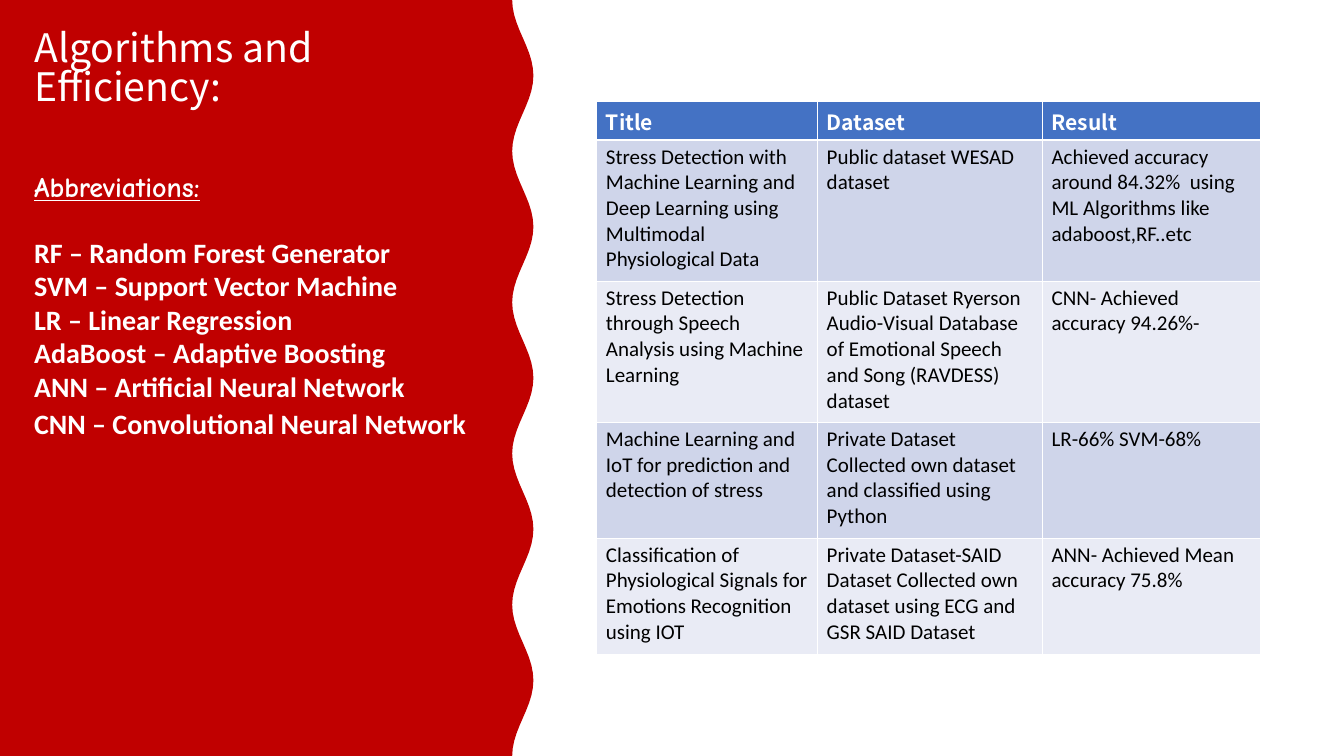
from math import cos, pi

from pptx import Presentation
from pptx.dml.color import RGBColor
from pptx.enum.text import MSO_ANCHOR, MSO_AUTO_SIZE, PP_ALIGN
from pptx.util import Inches, Pt

RED = RGBColor(0xC0, 0x00, 0x00)
WHITE = RGBColor(0xFF, 0xFF, 0xFF)
BLACK = RGBColor(0x00, 0x00, 0x00)
HEADER_BLUE = RGBColor(0x44, 0x72, 0xC4)
BANDS = [RGBColor(0xCF, 0xD5, 0xEA), RGBColor(0xE9, 0xEB, 0xF5)]
HEADING_FONT = "Noto Sans CJK SC"
BODY_FONT = "Calibri"

HEADING = "Algorithms and Efficiency:"
ABBREVIATIONS = [
    "RF – Random Forest Generator",
    "SVM – Support Vector Machine",
    "LR – Linear Regression",
    "AdaBoost – Adaptive Boosting",
    "ANN – Artificial Neural Network",
    "CNN – Convolutional Neural Network",
]
STUDIES = [
    ("Title", "Dataset", "Result"),
    ("Stress Detection with Machine Learning and Deep Learning using Multimodal Physiological Data",
     "Public dataset WESAD dataset",
     "Achieved accuracy around 84.32%  using ML Algorithms like adaboost,RF..etc"),
    ("Stress Detection through Speech Analysis using Machine Learning",
     "Public Dataset Ryerson Audio-Visual Database of Emotional Speech and Song (RAVDESS) dataset",
     "CNN- Achieved accuracy 94.26%-"),
    ("Machine Learning and IoT for prediction and detection of stress",
     "Private Dataset Collected own dataset and classified using Python",
     "LR-66% SVM-68%"),
    ("Classification of Physiological Signals for Emotions Recognition using IOT",
     "Private Dataset-SAID Dataset Collected own dataset using ECG and GSR SAID Dataset",
     "ANN- Achieved Mean accuracy 75.8%"),
]
COLUMN_WIDTHS = [2.19, 2.23, 2.16]
ROW_HEIGHTS = [0.38, 1.4, 1.4, 1.15, 1.15]

SLIDE_HEIGHT = 7.5
WAVE_COUNT = 5
WAVE_STEPS = 100
WAVE_LEFT, WAVE_RIGHT = 5.08, 5.29


def style(paragraph, font_name, size, color, bold=False):
    font = paragraph.font
    font.name, font.size, font.bold = font_name, Pt(size), bold
    font.color.rgb = color


def wave_point(step):
    swing = (1 - cos(2 * pi * WAVE_COUNT * step / WAVE_STEPS)) / 2
    x = WAVE_LEFT + (WAVE_RIGHT - WAVE_LEFT) * swing
    return Inches(x), Inches(SLIDE_HEIGHT * step / WAVE_STEPS)


def add_panel(slide):
    outline = slide.shapes.build_freeform(0, 0)
    edge = [wave_point(step) for step in range(WAVE_STEPS + 1)]
    outline.add_line_segments(edge + [(0, Inches(SLIDE_HEIGHT))], close=True)
    panel = outline.convert_to_shape()
    panel.shadow.inherit = False
    panel.fill.solid()
    panel.fill.fore_color.rgb = RED
    panel.line.fill.background()
    slide.shapes.title._element.addprevious(panel._element)


def add_heading(slide):
    heading = slide.shapes.title
    heading.left, heading.top = Inches(0.24), Inches(0.26)
    heading.width, heading.height = Inches(4.42), Inches(1.38)
    heading.fill.solid()
    heading.fill.fore_color.rgb = RED
    frame = heading.text_frame
    frame.text = HEADING
    frame.word_wrap = True
    frame.auto_size = MSO_AUTO_SIZE.NONE
    frame.vertical_anchor = MSO_ANCHOR.TOP
    paragraph = frame.paragraphs[0]
    paragraph.alignment = PP_ALIGN.LEFT
    paragraph.line_spacing = 0.83
    style(paragraph, HEADING_FONT, 28, WHITE)


def add_abbreviations(slide):
    box = slide.shapes.add_textbox(Inches(0.24), Inches(1.63), Inches(4.66), Inches(3.62))
    frame = box.text_frame
    frame.word_wrap = True
    label = frame.paragraphs[0]
    label.text = "Abbreviations:"
    label.space_after = Pt(23)
    style(label, "Comic Neue", 20, WHITE, bold=True)
    label.font.underline = True
    for abbreviation in ABBREVIATIONS:
        entry = frame.add_paragraph()
        entry.text = abbreviation
        style(entry, BODY_FONT, 20, WHITE, bold=True)
    entry.line_spacing = 1.1


def add_studies(slide):
    studies = slide.shapes.add_table(
        len(STUDIES), len(COLUMN_WIDTHS), Inches(5.92), Inches(1.01),
        Inches(sum(COLUMN_WIDTHS)), Inches(sum(ROW_HEIGHTS))).table
    for column, width in zip(studies.columns, COLUMN_WIDTHS):
        column.width = Inches(width)
    for index, (row, height, texts) in enumerate(zip(studies.rows, ROW_HEIGHTS, STUDIES)):
        row.height = Inches(height)
        is_header = index == 0
        for cell, text in zip(row.cells, texts):
            cell.text = text
            cell.margin_left = cell.margin_right = Inches(0.09)
            cell.margin_top = cell.margin_bottom = Inches(0.04)
            cell.fill.solid()
            cell.fill.fore_color.rgb = HEADER_BLUE if is_header else BANDS[(index - 1) % 2]
            style(cell.text_frame.paragraphs[0],
                  HEADING_FONT if is_header else BODY_FONT, 15,
                  WHITE if is_header else BLACK, bold=is_header)


def main():
    deck = Presentation()
    deck.slide_width, deck.slide_height = Inches(13.33), Inches(SLIDE_HEIGHT)
    slide = deck.slides.add_slide(deck.slide_layouts[5])
    add_panel(slide)
    add_heading(slide)
    add_abbreviations(slide)
    add_studies(slide)
    deck.save("out.pptx")


if __name__ == "__main__":
    main()
